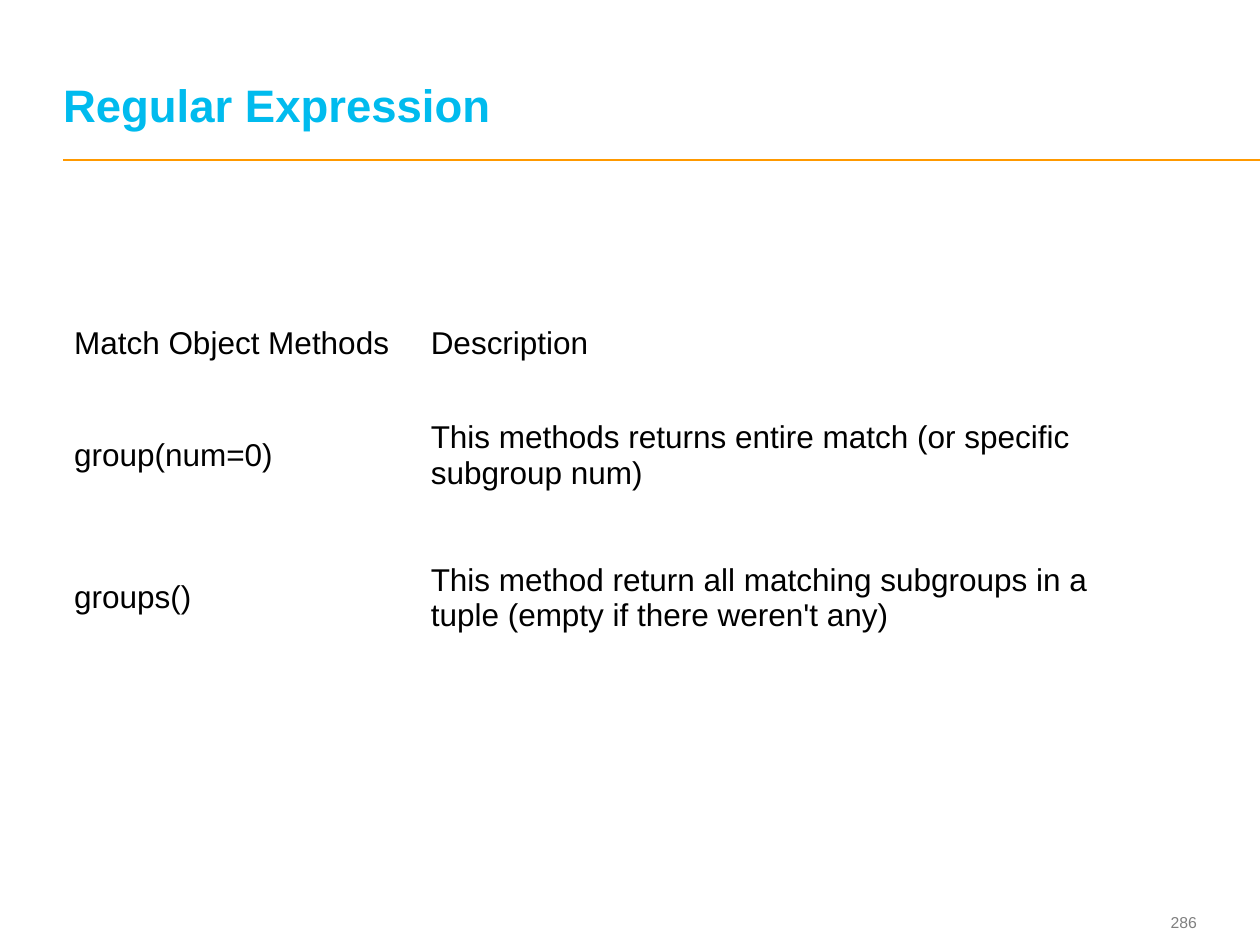
import pptx
import pptx.dml.color
import pptx.enum.shapes
import pptx.enum.text
import pptx.oxml.ns
import pptx.util
from pptx.util import Cm

COLORS = {"title": "00BBEE", "rule": "FF9900", "body": "000000", "number": "7F7F7F"}
ANCHOR = pptx.enum.text.MSO_ANCHOR
ALIGN = pptx.enum.text.PP_ALIGN

METHODS = [
    ("Match Object Methods", "Description"),
    ("group(num=0)", "This methods returns entire match (or specific subgroup num)"),
    ("groups()", "This method return all matching subgroups in a tuple (empty if there weren't any)"),
]
COLUMN_WIDTHS = [Cm(7.19), Cm(15.29)]
ROW_HEIGHTS = [Cm(1.65), Cm(2.87), Cm(2.87)]


def apply(target, values):
    for attribute, value in values.items():
        setattr(target, attribute, value)


def write(frame, text, size, color, bold=False, **paragraph_format):
    frame.text = text
    paragraph = frame.paragraphs[0]
    apply(paragraph, paragraph_format)
    font = paragraph.runs[0].font
    apply(font, {"name": "Arial", "size": pptx.util.Pt(size), "bold": bold})
    font.color.rgb = pptx.dml.color.RGBColor.from_string(COLORS[color])


def set_frame(frame, anchor):
    apply(frame, {"word_wrap": True, "vertical_anchor": anchor,
                  "auto_size": pptx.enum.text.MSO_AUTO_SIZE.NONE,
                  "margin_left": 0, "margin_top": 0,
                  "margin_right": 0, "margin_bottom": 0})


def add_heading(slide, text):
    heading = slide.shapes.title
    apply(heading, {"left": Cm(1.27), "top": Cm(0.48), "width": Cm(22.78), "height": Cm(2.18)})
    set_frame(heading.text_frame, ANCHOR.BOTTOM)
    write(heading.text_frame, text, 26, "title", bold=True,
          alignment=ALIGN.LEFT, line_spacing=pptx.util.Pt(26))


def add_rule(slide):
    rule = slide.shapes.add_connector(pptx.enum.shapes.MSO_CONNECTOR.STRAIGHT,
                                      Cm(1.27), Cm(3.23), Cm(25.4), Cm(3.23))
    rule.line.width = pptx.util.Pt(1)
    rule.line.color.rgb = pptx.dml.color.RGBColor.from_string(COLORS["rule"])
    properties = rule.element.find(pptx.oxml.ns.qn("p:spPr"))
    properties.append(properties.makeelement(pptx.oxml.ns.qn("a:effectLst"), {}))


def add_page_number(slide, number):
    page = slide.shapes.add_textbox(Cm(22.63), Cm(18.24), Cm(1.5), Cm(0.69))
    set_frame(page.text_frame, ANCHOR.MIDDLE)
    write(page.text_frame, number, 9, "number", alignment=ALIGN.RIGHT)


def add_methods(slide):
    methods = slide.shapes.add_table(len(METHODS), len(COLUMN_WIDTHS), Cm(1.24), Cm(6.1),
                                     sum(COLUMN_WIDTHS), sum(ROW_HEIGHTS)).table
    apply(methods, {"first_row": False, "horz_banding": False})
    for column, width in zip(methods.columns, COLUMN_WIDTHS):
        column.width = width
    for row, height, entries in zip(methods.rows, ROW_HEIGHTS, METHODS):
        row.height = height
        for cell, entry in zip(row.cells, entries):
            cell.fill.background()
            cell.vertical_anchor = ANCHOR.MIDDLE
            write(cell.text_frame, entry, 18, "body")


def main():
    deck = pptx.Presentation()
    apply(deck, {"slide_width": Cm(25.4), "slide_height": Cm(19.05)})
    slide = deck.slides.add_slide(deck.slide_layouts[5])
    add_rule(slide)
    add_page_number(slide, "286")
    add_heading(slide, "Regular Expression")
    add_methods(slide)
    deck.save("out.pptx")


if __name__ == "__main__":
    main()
